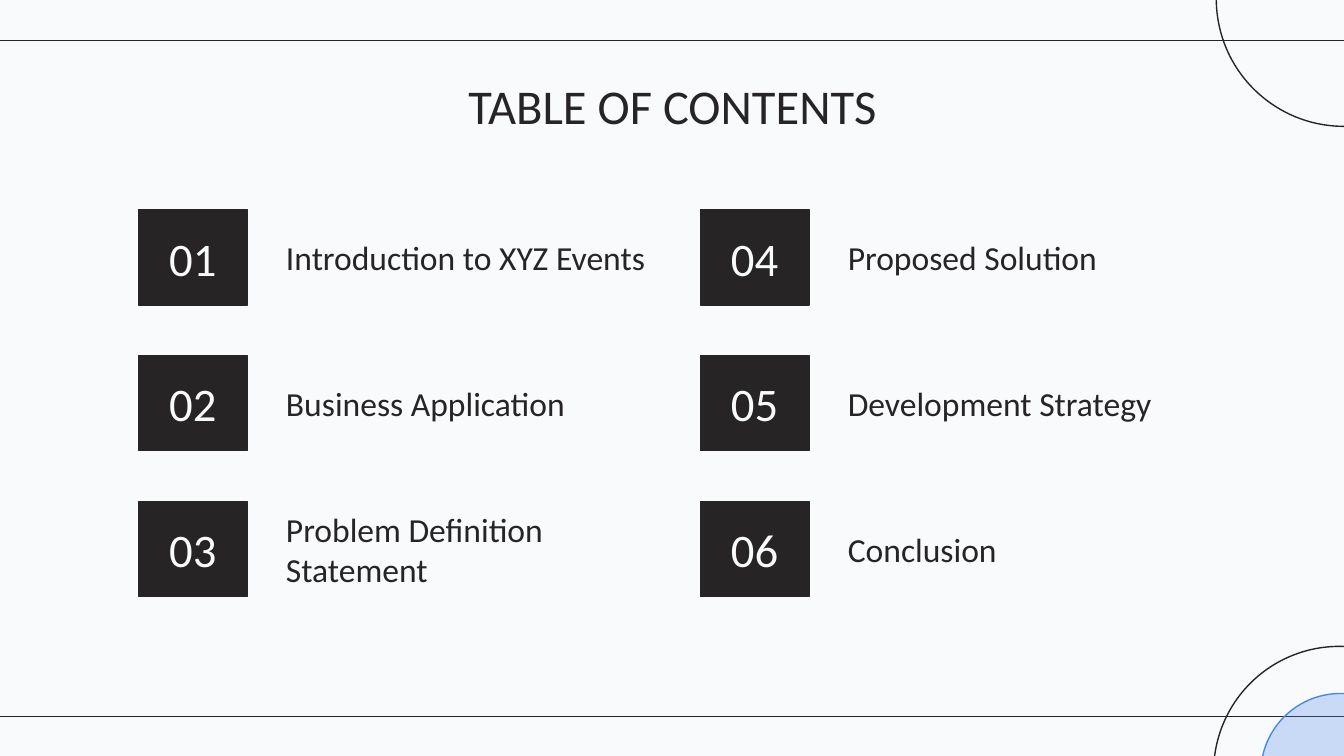
from lxml.etree import SubElement
from pptx import Presentation
from pptx.dml.color import RGBColor
from pptx.enum.shapes import MSO_CONNECTOR, MSO_SHAPE
from pptx.enum.text import MSO_ANCHOR, PP_ALIGN
from pptx.oxml.ns import qn
from pptx.util import Inches, Pt

COLORS = {"dark": "262425", "light": "F8FAFB", "blue": "4A86E8"}
FONT = "Calibri"
WIDTH = 10
HEIGHT = WIDTH * 9 / 16
BLEED = 0.02
LEFT, COLUMN_STEP = 1.03, 4.18
TOP, ROW_STEP = 1.56, 2.17 / 2
ROWS = 3
BOX_W, BOX_H = 0.81, 0.71
LABEL_OFFSET, LABEL_W = 1, 3
TOPICS = [
    "Introduction to XYZ Events",
    "Business Application",
    "Problem Definition Statement",
    "Proposed Solution",
    "Development Strategy",
    "Conclusion",
]


def rgb(name):
    return RGBColor.from_string(COLORS[name])


def add_rule(slide, y):
    line = slide.shapes.add_connector(
        MSO_CONNECTOR.STRAIGHT,
        Inches(WIDTH + BLEED), Inches(y), Inches(-BLEED), Inches(y))
    line.line.color.rgb = rgb("dark")
    line.line.width = Pt(0.75)
    SubElement(line._element.spPr, qn("a:effectLst"))


def add_shape(slide, kind, box, line="dark", fill=None, opacity=None):
    """Add an outlined shape; opacity is the fill's percentage."""
    sp = slide.shapes.add_shape(kind, *map(Inches, box))
    sp.shadow.inherit = False
    sp.line.color.rgb = rgb(line)
    sp.line.width = Pt(0.75)
    if fill is None:
        sp.fill.background()
        return sp
    sp.fill.solid()
    sp.fill.fore_color.rgb = rgb(fill)
    if opacity is not None:
        color = sp._element.spPr.find(qn("a:solidFill"))[0]
        SubElement(color, qn("a:alpha"), val=str(opacity * 1000))
    return sp


def add_circle(slide, x, y, size, **style):
    add_shape(slide, MSO_SHAPE.OVAL, (x, y, size, size), **style)


def write(sp, text, size=18, color="dark", align=PP_ALIGN.LEFT):
    tf = sp.text_frame
    tf.word_wrap = True
    tf.vertical_anchor = MSO_ANCHOR.MIDDLE
    tf.margin_left = tf.margin_right = Inches(0.1)
    tf.margin_top = tf.margin_bottom = Inches(0.1)
    p = tf.paragraphs[0]
    p.alignment = align
    r = p.add_run()
    r.text = text
    r.font.name = FONT
    r.font.size = Pt(size)
    r.font.color.rgb = rgb(color)


def add_text(slide, box, text, **style):
    write(slide.shapes.add_textbox(*map(Inches, box)), text, **style)


def add_topic(slide, index, topic):
    column, row = divmod(index, ROWS)
    x, y = LEFT + column * COLUMN_STEP, TOP + row * ROW_STEP
    number = add_shape(slide, MSO_SHAPE.RECTANGLE, (x, y, BOX_W, BOX_H), fill="dark")
    write(number, f"{index + 1:02}", size=25, color="light", align=PP_ALIGN.CENTER)
    add_text(slide, (x + LABEL_OFFSET, y, LABEL_W, BOX_H), topic)


def add_decoration(slide):
    for y in (0.3, 5.33):
        add_rule(slide, y)
    add_circle(slide, 9.03, 4.81, 1.87)
    add_circle(slide, 9.38, 5.16, 1.19, line="blue", fill="blue", opacity=27)
    add_circle(slide, 9.05, -0.96, 1.9)


def main():
    prs = Presentation()
    prs.slide_width, prs.slide_height = Inches(WIDTH), Inches(HEIGHT)
    s = prs.slides.add_slide(prs.slide_layouts[6])
    s.background.fill.solid()
    s.background.fill.fore_color.rgb = rgb("light")
    add_decoration(s)
    add_text(s, (0.79, 0.45, 8.43, 0.67), "TABLE OF CONTENTS",
             size=26, align=PP_ALIGN.CENTER)
    for index, topic in enumerate(TOPICS):
        add_topic(s, index, topic)
    prs.save("out.pptx")


if __name__ == "__main__":
    main()
